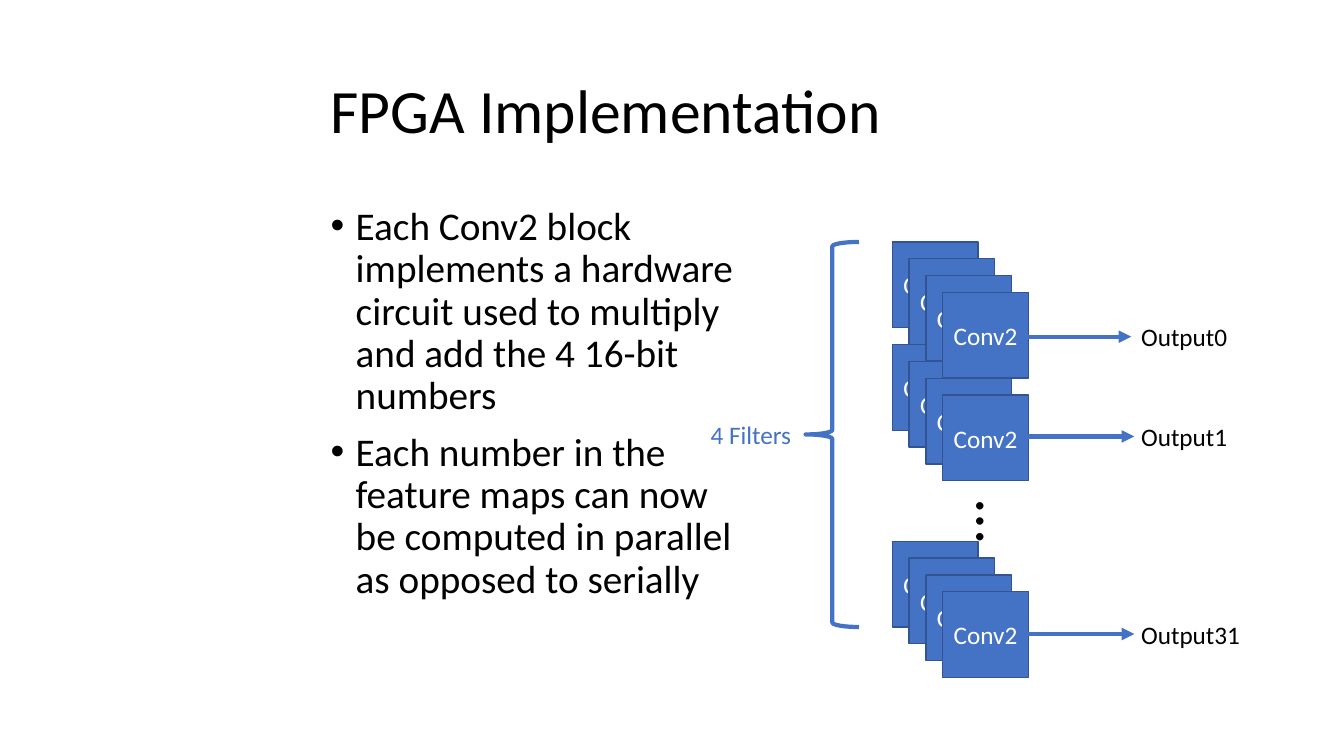
"""Build the FPGA Implementation slide with its stacks of Conv2 blocks."""
from lxml import etree
from pptx import Presentation
from pptx.dml.color import RGBColor
from pptx.enum.shapes import MSO_CONNECTOR, MSO_SHAPE
from pptx.enum.text import MSO_ANCHOR, MSO_AUTO_SIZE, PP_ALIGN
from pptx.oxml.ns import qn
from pptx.util import Inches, Pt

LEFT, CENTER = PP_ALIGN.LEFT, PP_ALIGN.CENTER
TOP, MIDDLE = MSO_ANCHOR.TOP, MSO_ANCHOR.MIDDLE
NO_FIT, FIT_SHAPE = MSO_AUTO_SIZE.NONE, MSO_AUTO_SIZE.SHAPE_TO_FIT_TEXT
RECT, BRACE = MSO_SHAPE.RECTANGLE, MSO_SHAPE.LEFT_BRACE
STRAIGHT = MSO_CONNECTOR.STRAIGHT

TITLE = "FPGA Implementation"
BULLETS = [
    "Each Conv2 block implements a hardware circuit used to multiply and add the 4 16-bit numbers",
    "Each number in the feature maps can now be computed in parallel as opposed to serially",
]
BLOCK_LABEL = "Conv2"
BRACE_LABEL = "4 Filters"
DOTS = "…"
# label, stack top, arrow start, arrow end, arrow height, label width
STACKS = [
    ("Output0", 2.4, 10.18, 11.22, 3.34, 1.06),
    ("Output1", 3.42, 10.2, 11.25, 4.33, 1.06),
    ("Output31", 5.37, 10.2, 11.25, 6.29, 1.19),
]
COLORS = {"blue": "4472C4", "edge": "325491", "black": "000000", "white": "FFFFFF"}
FONT = "Calibri"

SLIDE_W, SLIDE_H = 13.33, 7.5
TEXT_X = 3.18
STACK_X, BLOCK, LAYERS = 8.85, 0.85, 4
STEP = 1 / 6
LABEL_X, LABEL_H = 11.22, 0.4
BRACE_X, BRACE_W = 7.99, 0.53


def rgb(name):
    return RGBColor.from_string(COLORS[name])


def add_run(p, text, size, color):
    r = p.add_run()
    r.text = text
    r.font.name, r.font.size = FONT, Pt(size)
    r.font.color.rgb = rgb(color)


def add_text(s, box, text, size=18, color="black"):
    tb = s.shapes.add_textbox(*map(Inches, box))
    tf = tb.text_frame
    tf.word_wrap, tf.auto_size = False, FIT_SHAPE
    add_run(tf.paragraphs[0], text, size, color)
    return tb


def add_block(s, x, y):
    sp = s.shapes.add_shape(RECT, *map(Inches, (x, y, BLOCK, BLOCK)))
    sp.shadow.inherit = False
    sp.fill.solid()
    sp.fill.fore_color.rgb = rgb("blue")
    sp.line.color.rgb, sp.line.width = rgb("edge"), Pt(1)
    tf = sp.text_frame
    tf.margin_left = tf.margin_right = Inches(0.05)
    tf.vertical_anchor = MIDDLE
    p = tf.paragraphs[0]
    p.alignment = CENTER
    add_run(p, BLOCK_LABEL, 18, "white")


def add_arrow(s, x1, x2, y):
    line = s.shapes.add_connector(STRAIGHT, *map(Inches, (x1, y, x2, y)))
    line.line.color.rgb, line.line.width = rgb("blue"), Pt(3)
    etree.SubElement(line.line._get_or_add_ln(), qn("a:tailEnd"), type="triangle")
    etree.SubElement(line._element.spPr, qn("a:effectLst"))


def add_title(s):
    title = s.shapes.title
    title.left, title.top, title.width, title.height = map(Inches, (TEXT_X, 0.4, 9.24, 1.45))
    tf = title.text_frame
    tf.vertical_anchor, tf.auto_size = MIDDLE, NO_FIT
    p = tf.paragraphs[0]
    p.alignment, p.line_spacing = LEFT, 0.9
    add_run(p, TITLE, 44, "black")


def add_bullets(s):
    tf = s.shapes.add_textbox(*map(Inches, (TEXT_X, 2, 4.31, 4.76))).text_frame
    tf.word_wrap, tf.vertical_anchor = True, TOP
    for i, text in enumerate(BULLETS):
        p = tf.add_paragraph() if i else tf.paragraphs[0]
        p.line_spacing, p.space_before = 0.9, Pt(10)
        pPr = p._p.get_or_add_pPr()
        pPr.set("marL", str(Inches(0.25)))
        pPr.set("indent", str(Inches(-0.25)))
        etree.SubElement(pPr, qn("a:buFont"), typeface="Arial")
        etree.SubElement(pPr, qn("a:buChar"), char="•")
        add_run(p, text, 28, "black")


def add_brace(s):
    top, bottom = STACKS[0][1], STACKS[-1][1] + BLOCK
    sp = s.shapes.add_shape(BRACE, *map(Inches, (BRACE_X, top, BRACE_W, bottom - top)))
    sp.shadow.inherit = False
    sp.fill.background()
    sp.line.color.rgb, sp.line.width = rgb("blue"), Pt(3)
    add_text(s, (6.95, (top + bottom - LABEL_H) / 2, 1.01, LABEL_H), BRACE_LABEL, color="blue")


def main():
    prs = Presentation()
    prs.slide_width, prs.slide_height = Inches(SLIDE_W), Inches(SLIDE_H)
    s = prs.slides.add_slide(prs.slide_layouts[5])
    add_title(s)
    for layer in range(LAYERS):
        for stack in STACKS:
            add_block(s, STACK_X + layer * STEP, stack[1] + layer * STEP)
        if layer == 0:
            add_text(s, (9.61, 4.76, 0.63, 0.84), DOTS, 44).rotation = 90
    for label, _, start, end, y, width in STACKS:
        add_arrow(s, start, end, y)
        add_text(s, (LABEL_X, y - LABEL_H / 2, width, LABEL_H), label)
    add_brace(s)
    add_bullets(s)
    prs.save("out.pptx")


if __name__ == "__main__":
    main()
